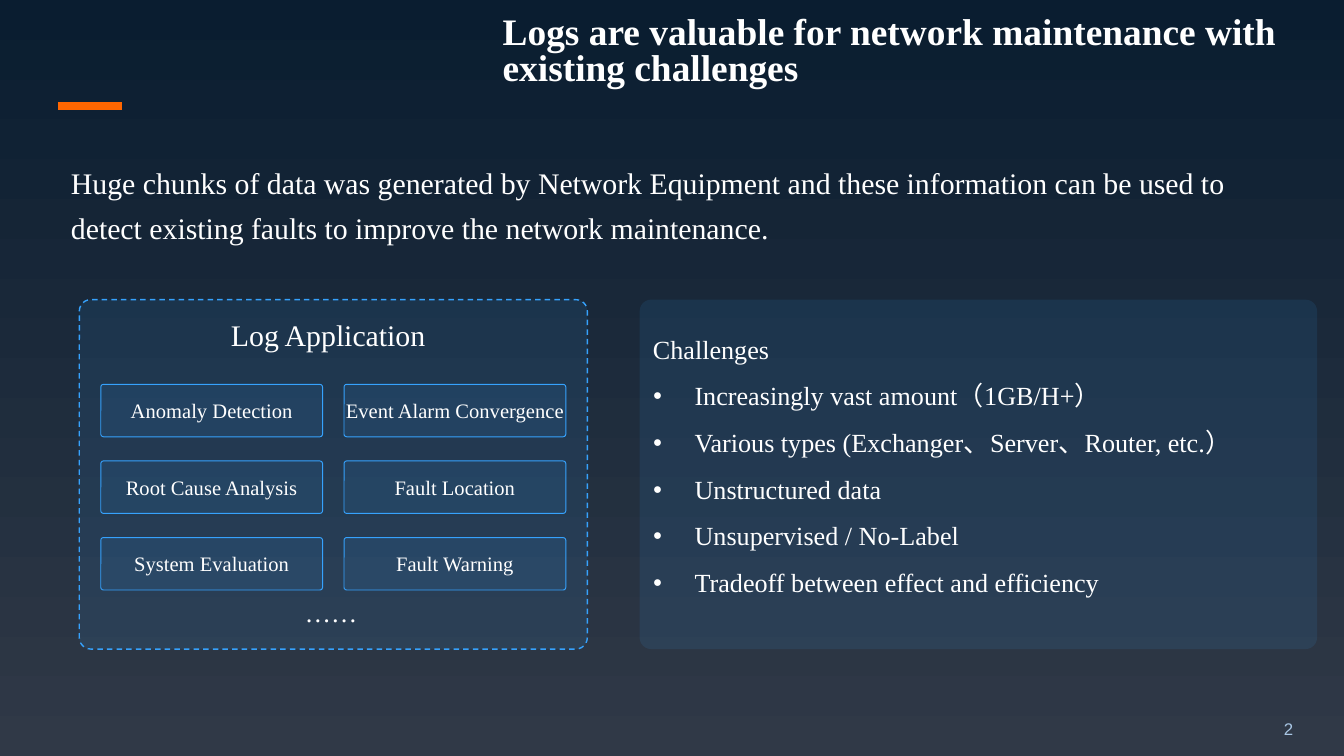
"""Builds the slide on log applications and the challenges of log analysis."""
from lxml import etree
from pptx import Presentation
from pptx.dml.color import RGBColor
from pptx.enum.dml import MSO_LINE
from pptx.enum.shapes import MSO_CONNECTOR, MSO_SHAPE
from pptx.enum.text import MSO_ANCHOR, PP_ALIGN
from pptx.oxml.ns import qn
from pptx.util import Inches, Pt

ROUNDED = MSO_SHAPE.ROUNDED_RECTANGLE
STRAIGHT = MSO_CONNECTOR.STRAIGHT
DASH = MSO_LINE.DASH
TOP, MIDDLE = MSO_ANCHOR.TOP, MSO_ANCHOR.MIDDLE
LEFT, CENTER, RIGHT = PP_ALIGN.LEFT, PP_ALIGN.CENTER, PP_ALIGN.RIGHT
rgb = RGBColor.from_string
SERIF, WHITE, BLUE = "Times New Roman", "FFFFFF", "36A2FD"

PANEL_TOP, PANEL_HEIGHT = 2.23, 2.6
GRID_LEFT, GRID_TOP = 0.75, 2.86
COLUMN_STEP, ROW_STEP = 1.81, 0.57
APPLICATIONS = [
    ["Anomaly Detection", "Event Alarm Convergence"],
    ["Root Cause Analysis", "Fault Location"],
    ["System Evaluation", "Fault Warning"],
]
CHALLENGES = [
    "Challenges",
    "Increasingly vast amount（1GB/H+）",
    "Various types (Exchanger、Server、Router, etc.）",
    "Unstructured data",
    "Unsupervised / No-Label",
    "Tradeoff between effect and efficiency",
]


def panel(left, top, width, height, rounding, line_width=0):
    """Adds a translucent rounded rectangle, outlined if line_width is given."""
    shape = slide.shapes.add_shape(
        ROUNDED, Inches(left), Inches(top), Inches(width), Inches(height))
    shape.shadow.inherit = False
    shape.adjustments[0] = rounding
    shape.fill.solid()
    shape.fill.fore_color.rgb = rgb(BLUE)
    tint = shape.element.spPr.find(qn("a:solidFill"))[0]
    etree.SubElement(tint, qn("a:alpha")).set("val", "10000")
    if line_width:
        shape.line.color.rgb = rgb(BLUE)
        shape.line.width = Pt(line_width)
    else:
        shape.line.fill.background()
    return shape


def write(shape, text, size, align=LEFT, anchor=TOP, margins=(0.1, 0),
          wrap=True, spacing=None, after=0, font=SERIF, color=WHITE, bold=False):
    """Fills a shape with text and formats every run."""
    frame = shape.text_frame
    frame.text = text
    frame.word_wrap = wrap
    frame.vertical_anchor = anchor
    frame.margin_left = frame.margin_right = Inches(margins[0])
    frame.margin_top = frame.margin_bottom = Inches(margins[1])
    for paragraph in frame.paragraphs:
        paragraph.alignment = align
        paragraph.line_spacing = spacing
        paragraph.space_before, paragraph.space_after = Pt(0), Pt(after)
        for run in paragraph.runs:
            run.font.name, run.font.size, run.font.bold = font, Pt(size), bold
            run.font.color.rgb = rgb(color)


deck = Presentation()
deck.slide_width = Inches(10)
deck.slide_height = deck.slide_width * 9 // 16
slide = deck.slides.add_slide(deck.slide_layouts[5])

backdrop = slide.background.fill
backdrop.gradient()
backdrop.gradient_angle = 90
for stop, color, position in zip(backdrop.gradient_stops, ("303947", "0A1D30"), (0, 1)):
    stop.color.rgb = rgb(color)
    stop.position = position

title = slide.shapes.title
title.left, title.top = Inches(3.74), Inches(0.08)
title.width, title.height = Inches(6.26), Inches(0.63)
write(title, "Logs are valuable for network maintenance with existing challenges",
      20, anchor=MIDDLE, margins=(0, 0), spacing=0.8, bold=True)

accent = slide.shapes.add_connector(
    STRAIGHT, Inches(0.43), Inches(0.79), Inches(0.91), Inches(0.79))
accent.line.color.rgb = rgb("FF6600")
accent.line.width = Pt(4)
etree.SubElement(accent.element.spPr, qn("a:effectLst"))

panel(4.76, PANEL_TOP, 5.04, PANEL_HEIGHT, 0.033)
application_panel = panel(0.59, PANEL_TOP, 3.78, PANEL_HEIGHT, 0.033, 0.75)
application_panel.line.dash_style = DASH

for row, names in enumerate(APPLICATIONS):
    for column, name in enumerate(names):
        card = panel(GRID_LEFT + column * COLUMN_STEP, GRID_TOP + row * ROW_STEP,
                     1.65, 0.39, 0.051, 0.5)
        write(card, name, 11, CENTER, MIDDLE, (0, 0))

INTRO = ("Huge chunks of data was generated by Network Equipment and these information "
         "can be used to detect existing faults to improve the network maintenance.")
BODY = {"spacing": 1.25, "after": 4}
LABEL = {"margins": (0.1, 0.05), "wrap": False}
PAGE = {"align": RIGHT, "anchor": MIDDLE, "margins": (0.1, 0.05),
        "font": "Arial", "color": "A9C7E5"}
for left, top, width, height, text, size, style in [
    (0.43, 1.16, 9.14, 0.87, INTRO, 16, BODY),
    (1.62, 2.31, 1.72, 0.37, "Log Application", 16, LABEL),
    (2.17, 4.39, 0.59, 0.34, "……", 14, LABEL),
    (8.15, 5.27, 1.57, 0.3, "2", 9, PAGE),
    (4.76, 2.42, 4.96, 2.36, "\n".join(CHALLENGES), 14, BODY),
]:
    passage = slide.shapes.add_textbox(
        Inches(left), Inches(top), Inches(width), Inches(height))
    write(passage, text, size, **style)

for challenge in passage.text_frame.paragraphs[1:]:
    properties = challenge._p.get_or_add_pPr()
    properties.set("marL", str(Inches(0.31)))
    properties.set("indent", str(-Inches(0.31)))
    for tag, key, value in [("a:buSzPct", "val", "60000"),
                            ("a:buFont", "typeface", "Arial"),
                            ("a:buChar", "char", "●")]:
        etree.SubElement(properties, qn(tag)).set(key, value)

deck.save("out.pptx")
